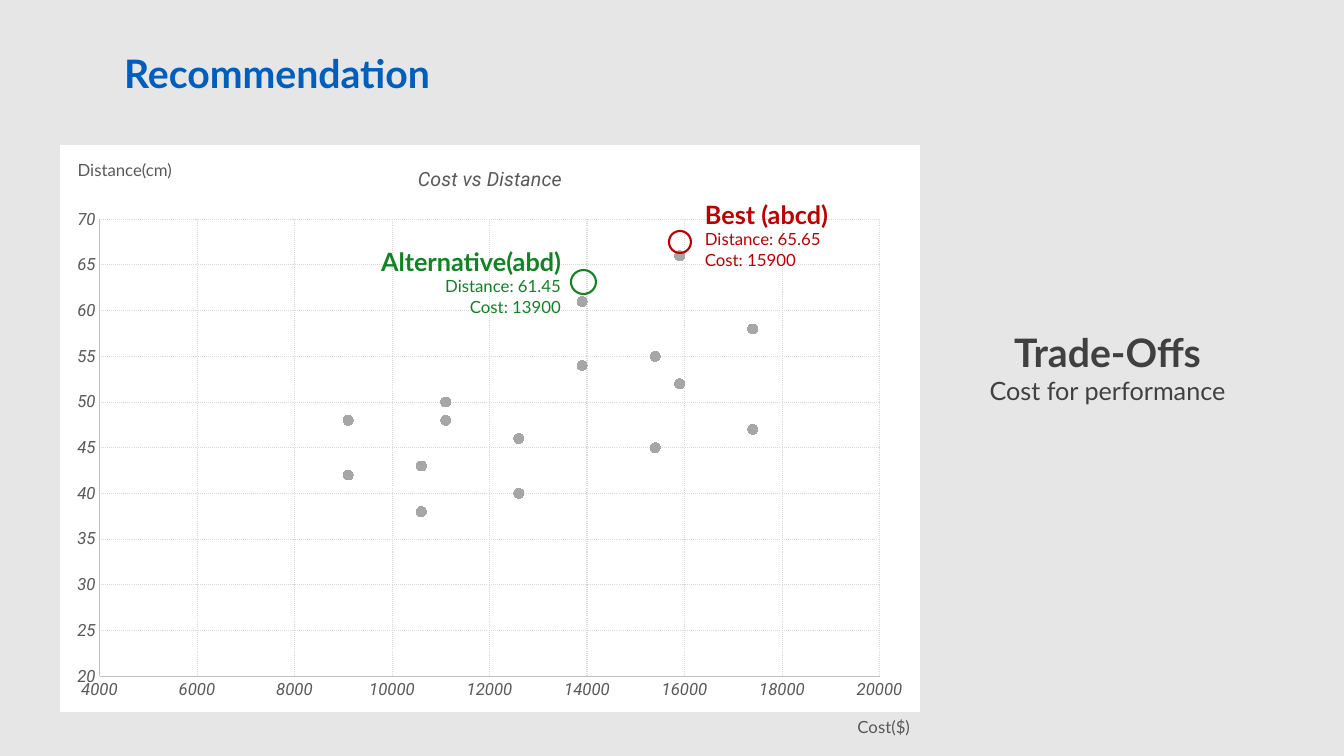
from lxml import etree
from pptx import Presentation
from pptx.chart.data import XyChartData
from pptx.dml.color import RGBColor
from pptx.enum.chart import XL_CHART_TYPE, XL_MARKER_STYLE, XL_TICK_MARK
from pptx.enum.dml import MSO_LINE
from pptx.enum.shapes import MSO_SHAPE
from pptx.enum.text import MSO_ANCHOR, PP_ALIGN
from pptx.oxml import parse_xml
from pptx.oxml.ns import nsdecls, qn
from pptx.util import Pt

LEFT, CENTER, RIGHT = PP_ALIGN.LEFT, PP_ALIGN.CENTER, PP_ALIGN.RIGHT
SCATTER, CIRCLE = XL_CHART_TYPE.XY_SCATTER, XL_MARKER_STYLE.CIRCLE
NO_TICK, DOTTED, OVAL = XL_TICK_MARK.NONE, MSO_LINE.ROUND_DOT, MSO_SHAPE.OVAL
TOP, MIDDLE = MSO_ANCHOR.TOP, MSO_ANCHOR.MIDDLE
PX = 12192000 / 1344
GRAY, RED, GREEN = "595959", "C00000", "118323"
color = RGBColor.from_string


def write(box, lines, hue, align=LEFT, anchor=TOP):
    """Fill a box with lines given as (text, size, bold)."""
    frame = box.text_frame
    frame.word_wrap = True
    frame.vertical_anchor = anchor
    for index, (text, size, bold) in enumerate(lines):
        para = frame.add_paragraph() if index else frame.paragraphs[0]
        para.alignment = align
        span = para.add_run()
        span.text = text
        span.font.name, span.font.size, span.font.bold = "Lato", Pt(size), bold
        span.font.color.rgb = color(hue)


def set_layout(parent, position, **values):
    """Give a chart part a manual place, in fractions of the chart."""
    for old in parent.findall(qn("c:layout")):
        parent.remove(old)
    layout = etree.Element(qn("c:layout"))
    manual = etree.SubElement(layout, qn("c:manualLayout"))
    for name, value in values.items():
        etree.SubElement(manual, qn("c:" + name)).set("val", str(value))
    parent.insert(position, layout)


deck = Presentation()
deck.slide_width, deck.slide_height = round(1344 * PX), round(756 * PX)
page = deck.slides.add_slide(deck.slide_layouts[5])
page.background.fill.solid()
page.background.fill.fore_color.rgb = color("E7E6E6")

# Title
title = page.shapes.title
title.left, title.top, title.width, title.height = (
    round(length * PX) for length in (114, 44, 805, 58))
write(title, [("Recommendation", 28, True)], "005EBF", anchor=MIDDLE)

# Scatter chart: two distances for each cost
distances = {
    10600: (38, 43), 12600: (40, 46), 15400: (45, 55), 17400: (47, 58),
    9100: (42, 48), 11100: (48, 50), 13900: (54, 61), 15900: (52, 66),
}
data = XyChartData()
points = data.add_series("Series 1")
for cost, pair in distances.items():
    for distance in pair:
        points.add_data_point(cost, distance)
chart = page.shapes.add_chart(
    SCATTER, *(round(length * PX) for length in (60, 145, 860, 567)), data).chart
chart.has_legend = False
chart.font.name, chart.font.size = "Roboto", Pt(12)
chart.font.color.rgb = color(GRAY)
chart_space = chart._chartSpace
chart_space.find(qn("c:chart")).addnext(parse_xml(
    f'<c:spPr {nsdecls("c", "a")}><a:solidFill><a:srgbClr val="FFFFFF"/></a:solidFill>'
    '<a:ln><a:noFill/></a:ln></c:spPr>'))

# Chart title and plot area
chart.has_title = True
heading = chart.chart_title.text_frame.paragraphs[0].add_run()
heading.text = "Cost vs Distance"
heading.font.name, heading.font.size = "Roboto", Pt(14)
heading.font.bold, heading.font.italic = False, True
heading.font.color.rgb = color(GRAY)
plot = chart.plots[0]
plot.vary_by_categories = False
set_layout(chart_space.find(".//" + qn("c:title")), 1,
           xMode="edge", yMode="edge", x=0.412, y=0.03)
set_layout(chart_space.find(".//" + qn("c:plotArea")), 0,
           layoutTarget="inner", xMode="edge", yMode="edge",
           x=0.046, y=0.131, w=0.907, h=0.806)

# Markers
series = plot.series[0]
series.format.line.fill.background()
series.marker.style, series.marker.size = CIRCLE, 7
series.marker.format.fill.solid()
series.marker.format.fill.fore_color.rgb = color("A6A6A6")
series.marker.format.line.color.rgb = color("A6A6A6")

# Axes
for axis, low, high, step in ((chart.category_axis, 4000, 20000, 2000),
                              (chart.value_axis, 20, 70, 5)):
    axis.minimum_scale, axis.maximum_scale, axis.major_unit = low, high, step
    axis.major_tick_mark = axis.minor_tick_mark = NO_TICK
    axis.has_title = False
    axis.has_major_gridlines = True
    axis.format.line.color.rgb = color("BFBFBF")
    axis.format.line.width = Pt(0.75)
    grid = axis.major_gridlines.format.line
    grid.color.rgb, grid.width, grid.dash_style = color("D9D9D9"), Pt(0.75), DOTTED
    labels = axis.tick_labels
    labels.number_format, labels.number_format_is_linked = "General", False
    labels.font.name, labels.font.size, labels.font.italic = "Roboto", Pt(12), True
    labels.font.color.rgb = color(GRAY)

# Rings above the two chosen points
for place, hue in (((669, 231, 22, 22), RED), ((571, 270, 25, 24), GREEN)):
    ring = page.shapes.add_shape(OVAL, *(round(length * PX) for length in place))
    ring.shadow.inherit = False
    ring.fill.background()
    ring.line.color.rgb, ring.line.width = color(hue), Pt(1.5)

# Callouts, axis names and the trade-off statement
notes = (
    ((339, 241, 232, 82), GREEN, RIGHT,
     [("Alternative(abd)", 18, True), ("Distance: 61.45", 12, False),
      ("Cost: 13900", 12, False)]),
    ((713, 712, 207, 30), GRAY, RIGHT, [("Cost($)", 12, False)]),
    ((60, 155, 122, 30), GRAY, RIGHT, [("Distance(cm)", 12, False)]),
    ((931, 323, 353, 89), "404040", CENTER,
     [("Trade-Offs", 28, True), ("Cost for performance", 18, False)]),
    ((695, 194, 161, 82), RED, LEFT,
     [("Best (abcd)", 18, True), ("Distance: 65.65", 12, False),
      ("Cost: 15900", 12, False)]),
)
for place, hue, align, lines in notes:
    box = page.shapes.add_textbox(*(round(length * PX) for length in place))
    write(box, lines, hue, align)

deck.save("out.pptx")
